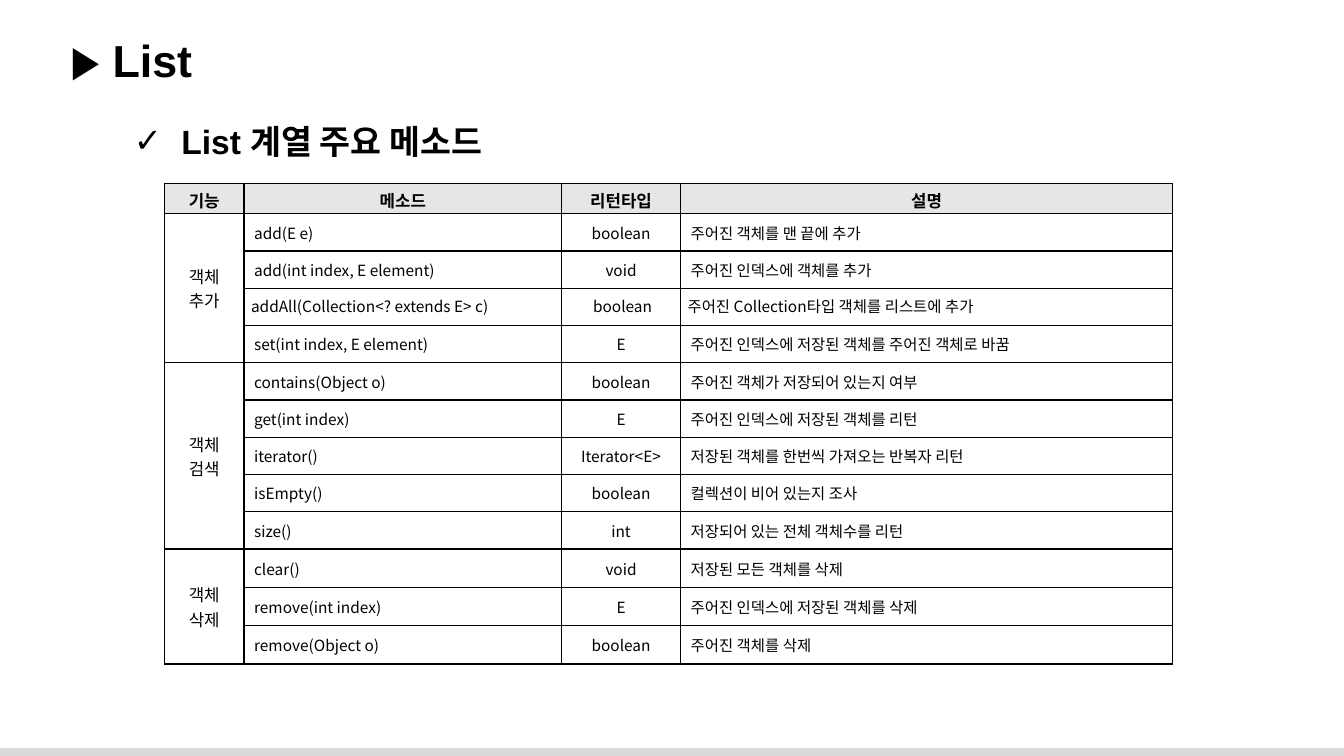
from lxml import etree
from pptx import Presentation
from pptx.dml.color import RGBColor
from pptx.enum.shapes import MSO_SHAPE
from pptx.enum.text import MSO_ANCHOR, MSO_AUTO_SIZE, PP_ALIGN
from pptx.oxml.ns import qn
from pptx.util import Inches, Pt

BLACK = RGBColor(0x00, 0x00, 0x00)
HEADER_GRAY = RGBColor(0xE7, 0xE6, 0xE6)
FOOTER_GRAY = RGBColor(0xD9, 0xD9, 0xD9)
LATIN_FONT, KOREAN_FONT = "Arial", "Noto Sans CJK KR"
SLIDE_W, SLIDE_H = Inches(13.33), Inches(7.5)

COLUMN_WEIGHTS = [79, 315, 118, 488]
ROW_WEIGHTS = [30] + [37] * 9 + [38] * 3
CELL_INSETS = (0.1, 0.05, 0.1, 0.05)
HEADER_INSETS = (0.1, 0.04, 0.1, 0.01)
ADD_ALL_INSETS = (0.07, 0.06, 0.04, 0.02)

HEADERS = ["기능", "메소드", "리턴타입", "설명"]
METHOD_GROUPS = [
    ("객체\n추가", [
        ("add(E e)", "boolean", "주어진 객체를 맨 끝에 추가"),
        ("add(int index, E element)", "void", "주어진 인덱스에 객체를 추가"),
        ("addAll(Collection<? extends E> c)", "boolean",
         "주어진 Collection타입 객체를 리스트에 추가"),
        ("set(int index, E element)", "E", "주어진 인덱스에 저장된 객체를 주어진 객체로 바꿈"),
    ]),
    ("객체\n검색", [
        ("contains(Object o)", "boolean", "주어진 객체가 저장되어 있는지 여부"),
        ("get(int index)", "E", "주어진 인덱스에 저장된 객체를 리턴"),
        ("iterator()", "Iterator<E>", "저장된 객체를 한번씩 가져오는 반복자 리턴"),
        ("isEmpty()", "boolean", "컬렉션이 비어 있는지 조사"),
        ("size()", "int", "저장되어 있는 전체 객체수를 리턴"),
    ]),
    ("객체\n삭제", [
        ("clear()", "void", "저장된 모든 객체를 삭제"),
        ("remove(int index)", "E", "주어진 인덱스에 저장된 객체를 삭제"),
        ("remove(Object o)", "boolean", "주어진 객체를 삭제"),
    ]),
]


def box(left, top, width, height):
    return [int(total * percent / 100) for total, percent in
            zip((SLIDE_W, SLIDE_H) * 2, (left, top, width, height))]


def write(frame, text, size, font, bold=False, align=PP_ALIGN.LEFT):
    frame.text = text
    for paragraph in frame.paragraphs:
        paragraph.alignment = align
        for run in paragraph.runs:
            run.font.size, run.font.bold, run.font.name = Pt(size), bold, font
            run.font.color.rgb = BLACK
            east_asian = etree.Element(qn("a:ea"), typeface=KOREAN_FONT)
            run.font._element.find(qn("a:latin")).addnext(east_asian)


def add_heading(slide, area, text, size, wrap=True):
    frame = slide.shapes.add_textbox(*box(*area)).text_frame
    frame.word_wrap = wrap
    frame.auto_size = MSO_AUTO_SIZE.SHAPE_TO_FIT_TEXT
    write(frame, text, size, LATIN_FONT, bold=True)
    return frame.paragraphs[0]


def add_check_bullet(paragraph, indent):
    properties = paragraph._p.get_or_add_pPr()
    properties.set("marL", str(indent))
    properties.set("indent", str(-indent))
    etree.SubElement(properties, qn("a:buFont"), typeface=LATIN_FONT)
    etree.SubElement(properties, qn("a:buChar"), char="✓")


def add_footer_bar(slide):
    bar = slide.shapes.add_shape(MSO_SHAPE.RECTANGLE, *box(0, 98.93, 100, 1.07))
    bar.shadow.inherit = False
    bar.fill.solid()
    bar.fill.fore_color.rgb = FOOTER_GRAY
    bar.line.fill.background()


def draw_borders(cell):
    properties = cell._tc.get_or_add_tcPr()
    for side in ("lnL", "lnR", "lnT", "lnB"):
        line = etree.SubElement(properties, qn("a:" + side), w=str(Pt(1)))
        fill = etree.SubElement(line, qn("a:solidFill"))
        etree.SubElement(fill, qn("a:srgbClr"), val=str(BLACK))


def set_insets(cell, insets):
    (cell.margin_left, cell.margin_top,
     cell.margin_right, cell.margin_bottom) = map(Inches, insets)


def style_cell(cell, is_header):
    draw_borders(cell)
    cell.vertical_anchor = MSO_ANCHOR.MIDDLE
    set_insets(cell, HEADER_INSETS if is_header else CELL_INSETS)
    if is_header:
        cell.fill.solid()
        cell.fill.fore_color.rgb = HEADER_GRAY
    else:
        cell.fill.background()


def add_method_table(slide):
    area = box(12.23, 24.27, 75.02, 63.6)
    table = slide.shapes.add_table(len(ROW_WEIGHTS), len(COLUMN_WEIGHTS), *area).table
    table.first_row = table.horz_banding = False
    for column, weight in zip(table.columns, COLUMN_WEIGHTS):
        column.width = area[2] * weight // sum(COLUMN_WEIGHTS)
    for index, (row, weight) in enumerate(zip(table.rows, ROW_WEIGHTS)):
        row.height = area[3] * weight // sum(ROW_WEIGHTS)
        for cell in row.cells:
            style_cell(cell, is_header=index == 0)
    for column, header in enumerate(HEADERS):
        write(table.cell(0, column).text_frame, header, 12, KOREAN_FONT, True, PP_ALIGN.CENTER)
    first = 1
    for group, methods in METHOD_GROUPS:
        group_cell = table.cell(first, 0)
        group_cell.merge(table.cell(first + len(methods) - 1, 0))
        write(group_cell.text_frame, group, 12, KOREAN_FONT, align=PP_ALIGN.CENTER)
        for row, method in enumerate(methods, first):
            for column, text in enumerate(method, 1):
                cell = table.cell(row, column)
                align = PP_ALIGN.CENTER if column == 2 else PP_ALIGN.LEFT
                write(cell.text_frame, text, 11, KOREAN_FONT, align=align)
                if method[0].startswith("addAll"):
                    cell.vertical_anchor = MSO_ANCHOR.TOP
                    set_insets(cell, ADD_ALL_INSETS)
        first += len(methods)


def main():
    presentation = Presentation()
    presentation.slide_width, presentation.slide_height = SLIDE_W, SLIDE_H
    slide = presentation.slides.add_slide(presentation.slide_layouts[6])
    add_footer_bar(slide)
    add_heading(slide, (4.5, 3.73, 94.5, 8.53), "▶ List", 32)
    add_method_table(slide)
    subtitle = add_heading(slide, (9.23, 15.33, 29.7, 6.67), "List 계열 주요 메소드", 24, wrap=False)
    add_check_bullet(subtitle, Inches(0.47))
    presentation.save("out.pptx")


main()
